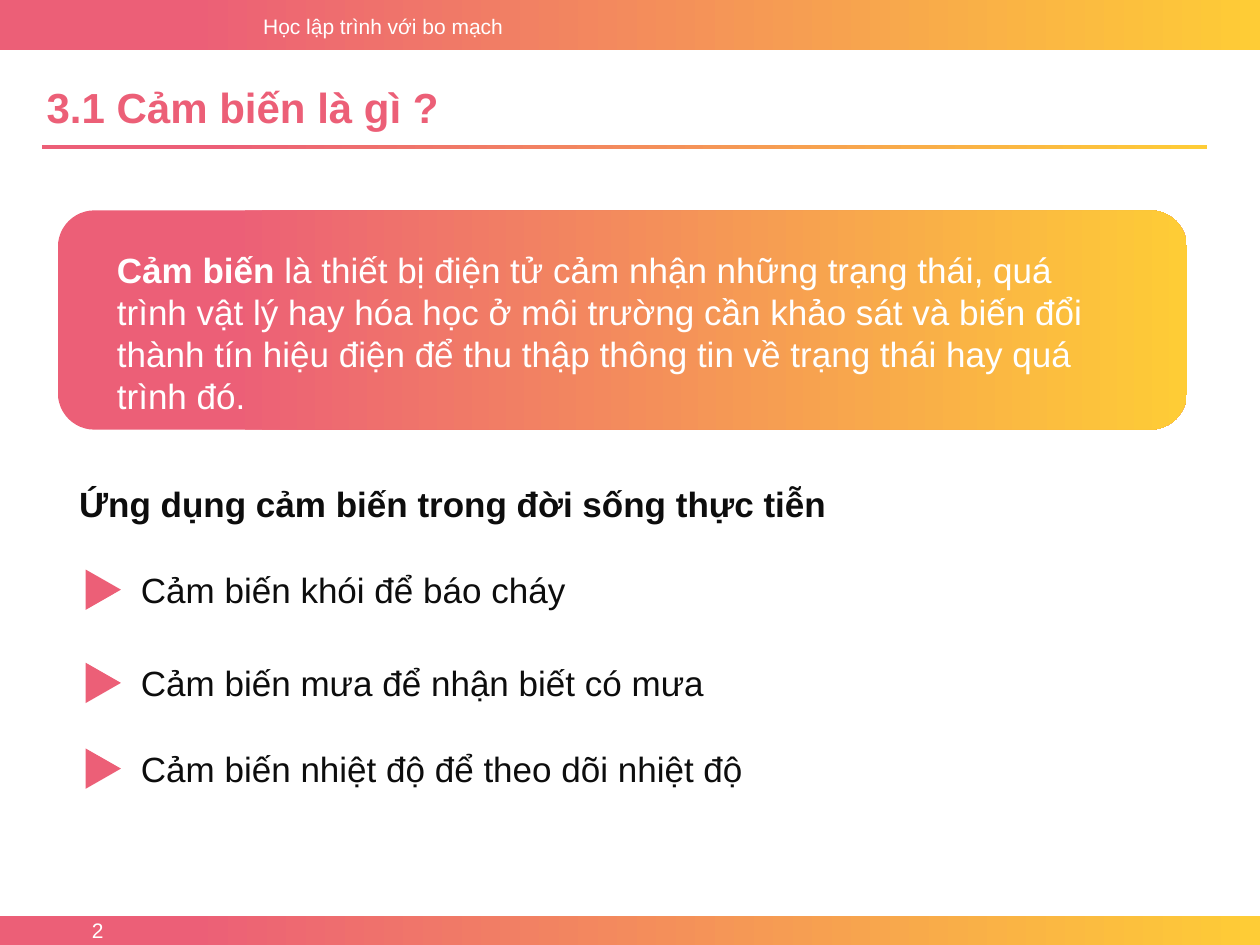
from pptx import Presentation
from pptx.dml.color import RGBColor
from pptx.enum import shapes, text
from pptx.util import Inches, Pt

PINK, YELLOW, WHITE, INK = "EC5F77", "FECC36", "FFFFFF", "0D0D0D"
FONT = "Arial"

COURSE = "Học lập trình với bo mạch"
TITLE = "3.1 Cảm biến là gì ?"
TERM = "Cảm biến"
DEFINITION = (" là thiết bị điện tử cảm nhận những trạng thái, quá trình vật lý "
              "hay hóa học ở môi trường cần khảo sát và biến đổi thành tín hiệu "
              "điện để thu thập thông tin về trạng thái hay quá trình đó.")
HEADING = "Ứng dụng cảm biến trong đời sống thực tiễn"
USES = [  # top of the text box, text
    (4.46, "Cảm biến khói để báo cháy"),
    (5.20, "Cảm biến mưa để nhận biết có mưa"),
    (5.88, "Cảm biến nhiệt độ để theo dõi nhiệt độ"),
]
PAGE_NUMBER = "2"

BANDS = [  # preset shape, (left, top, width, height)
    (shapes.MSO_SHAPE.RECTANGLE, (0, 0, 10, 0.4)),
    (shapes.MSO_SHAPE.RECTANGLE, (0, 7.27, 10, 0.23)),
    (shapes.MSO_SHAPE.RECTANGLE, (0.33, 1.15, 9.25, 0.03)),
    (shapes.MSO_SHAPE.ROUNDED_RECTANGLE, (0.46, 1.67, 8.96, 1.74)),
]


def rgb(color):
    return RGBColor.from_string(color)


def add_shape(page, preset, place):
    shape = page.shapes.add_shape(preset, *map(Inches, place))
    shape.shadow.inherit = False
    shape.line.fill.background()
    return shape


def add_band(page, preset, place):
    """Add a shape that fades from pink on the left to yellow on the right."""
    fill = add_shape(page, preset, place).fill
    fill.gradient()
    fill.gradient_angle = 0
    for stop, position, color in zip(fill.gradient_stops, (0.15, 1), (PINK, YELLOW)):
        stop.position = position
        stop.color.rgb = rgb(color)


def write(box, runs, size, color, align=text.PP_ALIGN.LEFT,
          anchor=text.MSO_ANCHOR.TOP):
    """Fill a box with one paragraph of (text, bold) runs."""
    frame = box.text_frame
    frame.word_wrap = True
    frame.auto_size = text.MSO_AUTO_SIZE.NONE
    frame.vertical_anchor = anchor
    para = frame.paragraphs[0]
    para.alignment = align
    para.font.name = FONT
    para.font.size = Pt(size)
    para.font.color.rgb = rgb(color)
    for words, bold in runs:
        span = para.add_run()
        span.text = words
        span.font.bold = bold


def add_text(page, place, runs, size, color, **options):
    box = page.shapes.add_textbox(*map(Inches, place))
    write(box, runs, size, color, **options)


def main():
    deck = Presentation()
    deck.slide_width, deck.slide_height = Inches(10), Inches(7.5)
    page = deck.slides.add_slide(deck.slide_layouts[5])

    for preset, place in BANDS:
        add_band(page, preset, place)

    title = page.shapes.title
    title.left, title.top, title.width, title.height = map(
        Inches, (0.27, 0.6, 8.07, 0.5))
    write(title, [(TITLE, True)], 24, PINK)

    add_text(page, (1.99, 0.06, 2.25, 0.3), [(COURSE, False)], 12, WHITE)
    add_text(page, (0, 7.27, 0.92, 0.23), [(PAGE_NUMBER, False)], 12, WHITE,
             align=text.PP_ALIGN.RIGHT, anchor=text.MSO_ANCHOR.MIDDLE)
    add_text(page, (0.83, 1.92, 8.24, 1.11),
             [(TERM, True), (DEFINITION, False)], 20, WHITE)
    add_text(page, (0.53, 3.78, 6.17, 0.56), [(HEADING, True)], 20, INK)

    for top, use in USES:
        marker = add_shape(page, shapes.MSO_SHAPE.ISOSCELES_TRIANGLE,
                           (0.66, top + 0.08, 0.32, 0.28))
        marker.rotation = 90
        marker.fill.solid()
        marker.fill.fore_color.rgb = rgb(PINK)
        add_text(page, (1.02, top, 6.17, 0.56), [(use, False)], 20, INK)

    deck.save("out.pptx")


if __name__ == "__main__":
    main()
